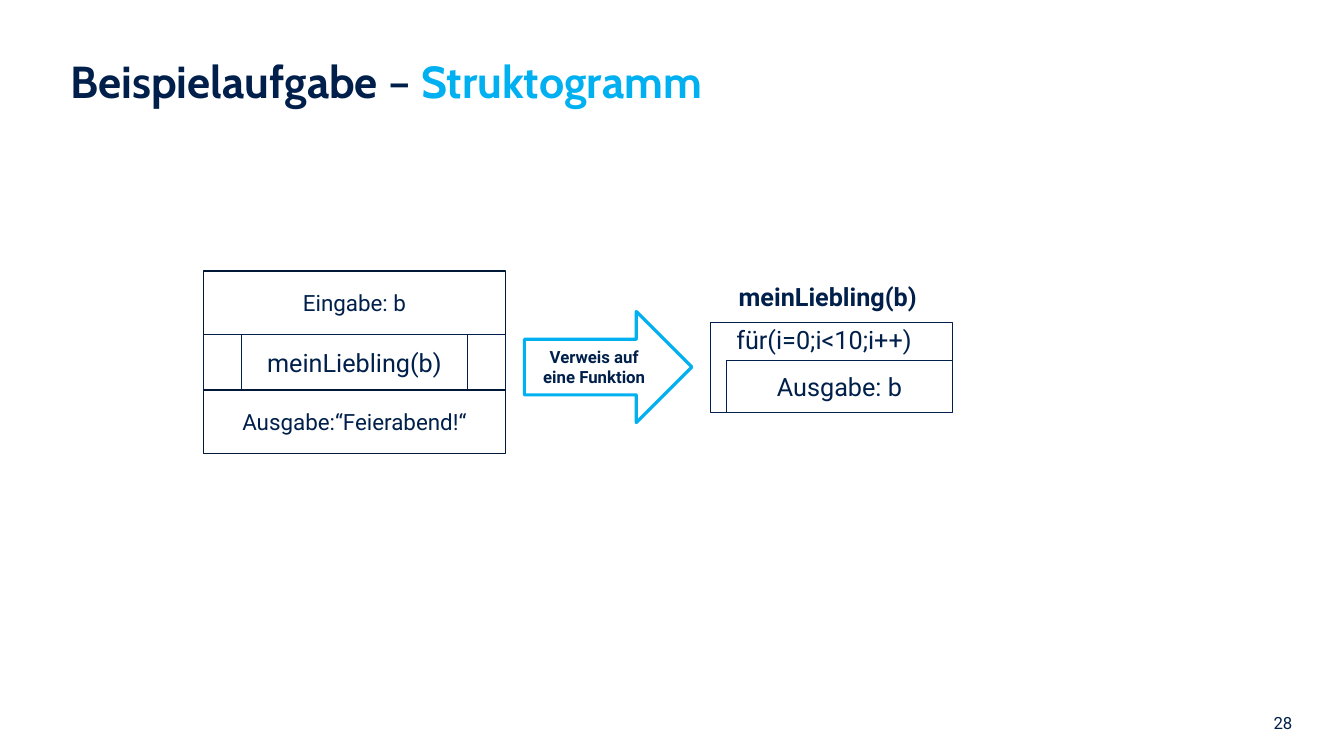
import pptx
import pptx.dml.color
import pptx.enum.shapes
import pptx.enum.text
import pptx.util

Cm = pptx.util.Cm
Pt = pptx.util.Pt
SHAPE = pptx.enum.shapes.MSO_SHAPE
ALIGN = pptx.enum.text.PP_ALIGN
ANCHOR = pptx.enum.text.MSO_ANCHOR


def rgb(hex_code):
    return pptx.dml.color.RGBColor.from_string(hex_code)


class Deck:
    navy = "00204B"
    cyan = "00B0F0"
    white = "FFFFFF"
    heading_font = "Cabin"
    body_font = "Roboto"

    def __init__(self):
        self.prs = pptx.Presentation()
        self.prs.slide_width = pptx.util.Inches(13.33)
        self.prs.slide_height = pptx.util.Inches(7.5)
        self.s = self.prs.slides.add_slide(self.prs.slide_layouts[5])

    def run(self, p, text, size, color=navy, bold=False, font=body_font):
        r = p.add_run()
        r.text = text
        r.font.name = font
        r.font.size = Pt(size)
        r.font.bold = bold
        r.font.color.rgb = rgb(color)

    def title(self, box, parts):
        sp = self.s.shapes.title
        sp.left, sp.top, sp.width, sp.height = map(Cm, box)
        tf = sp.text_frame
        tf.auto_size = pptx.enum.text.MSO_AUTO_SIZE.NONE
        tf.vertical_anchor = ANCHOR.TOP
        p = tf.paragraphs[0]
        p.alignment = ALIGN.LEFT
        for text, color, bold in parts:
            self.run(p, text, 32, color, bold, self.heading_font)

    def text(self, box, text, size, bold=False, align=ALIGN.LEFT):
        tf = self.s.shapes.add_textbox(*map(Cm, box)).text_frame
        tf.word_wrap = True
        tf.vertical_anchor = ANCHOR.MIDDLE
        p = tf.paragraphs[0]
        p.alignment = align
        self.run(p, text, size, bold=bold)

    def block(self, kind, box, text="", size=18, line=navy, weight=0.85, bold=False):
        sp = self.s.shapes.add_shape(kind, *map(Cm, box))
        sp.shadow.inherit = False
        sp.fill.solid()
        sp.fill.fore_color.rgb = rgb(self.white)
        sp.line.color.rgb = rgb(line)
        sp.line.width = Pt(weight)
        if text:
            tf = sp.text_frame
            tf.word_wrap = True
            tf.vertical_anchor = ANCHOR.MIDDLE
            p = tf.paragraphs[0]
            p.alignment = ALIGN.CENTER
            self.run(p, text, size, bold=bold)
        return sp

    def loop_frame(self, box):
        sp = self.block(SHAPE.CORNER, box)
        sp.adjustments[0] = 0.45
        sp.adjustments[1] = 0.25
        sp.rotation = 180
        sp._element.spPr.xfrm.set("flipH", "1")


def main():
    deck = Deck()
    deck.title((1.52, 1.22, 30.94, 2), [
        ("Beispielaufgabe ", deck.navy, True),
        ("– ", deck.navy, False),
        ("Struktogramm", deck.cyan, True),
    ])

    top = 6.83
    for kind, text, size, height, line in [
        (SHAPE.RECTANGLE, "Eingabe: b", 16, 1.6, "001837"),
        (SHAPE.FLOWCHART_PREDEFINED_PROCESS, "meinLiebling(b)", 18, 1.4, deck.navy),
        (SHAPE.RECTANGLE, "Ausgabe:“Feierabend!“", 16, 1.6, "001837"),
    ]:
        deck.block(kind, (5.13, top, 7.6, height), text, size, line)
        top += height

    deck.block(SHAPE.RIGHT_ARROW, (13.21, 7.85, 4.22, 2.8),
               "Verweis auf eine Funktion", 12, deck.cyan, 2.25, True)

    deck.text((18.36, 6.96, 5.21, 1.02), "meinLiebling(b)", 18, bold=True)
    deck.loop_frame((17.9, 8.13, 6.1, 2.26))
    deck.text((18.3, 8.05, 8.79, 1.02), "für(i=0;i<10;i++)", 18)
    deck.block(SHAPE.RECTANGLE, (18.3, 9.09, 5.7, 1.3), "Ausgabe: b")

    deck.text((21.46, 17.7, 11.35, 1.02), "28", 12, align=ALIGN.RIGHT)
    deck.prs.save("out.pptx")


if __name__ == "__main__":
    main()
